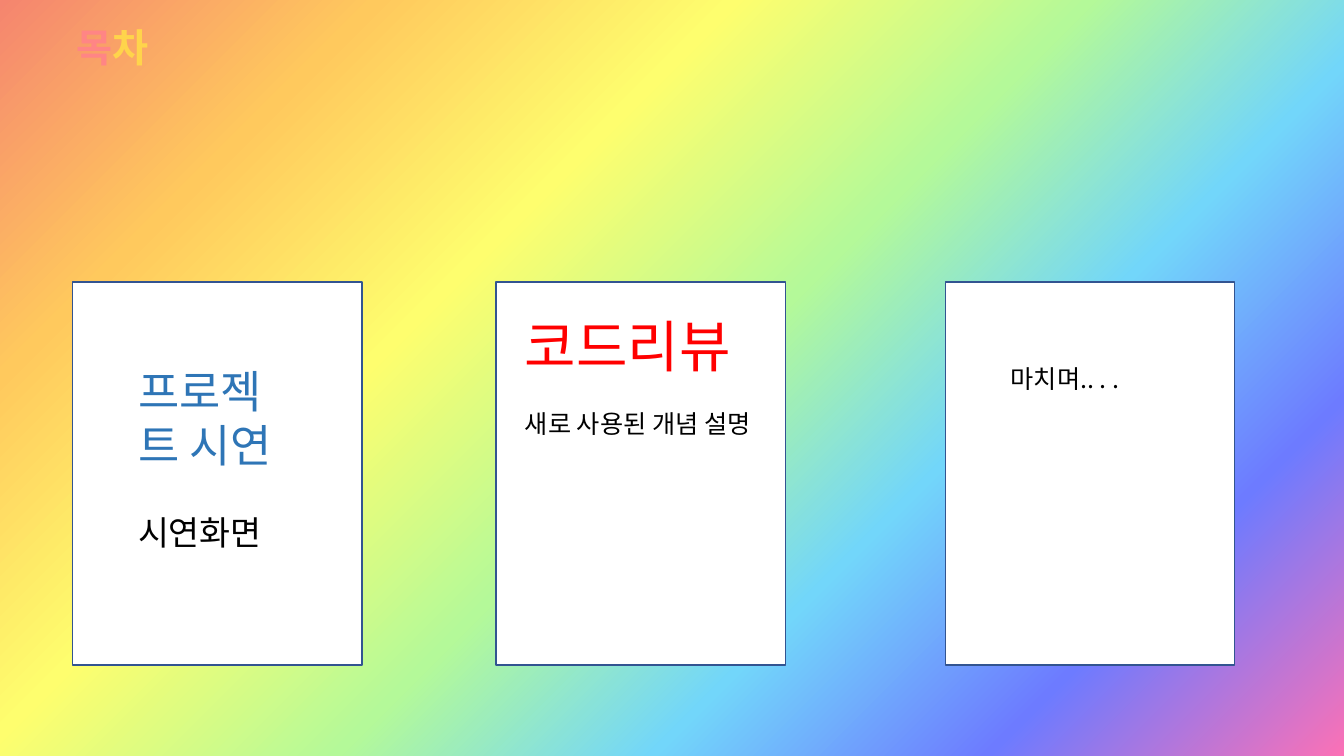
from lxml.etree import SubElement
from pptx import Presentation
from pptx.dml.color import RGBColor
from pptx.enum.shapes import MSO_SHAPE
from pptx.enum.text import MSO_AUTO_SIZE
from pptx.oxml.ns import qn
from pptx.util import Cm, Pt

# Content
FONT = "Noto Sans CJK KR"
RAINBOW = [(0, "F5856F"), (18, "FFC95D"), (35, "FEFE6E"), (52, "B4F999"),
           (67, "72D6FA"), (83, "6D7BFF"), (100, "FB71B6")]

# Each paragraph: space before in points, then runs of (text, size, colour, bold)
TITLE = {
    "box": (1.68, 0.46, 19.05, 1.45),
    "paragraphs": [(0, [("목", 28, "FF8585", True), ("차", 28, "FFD44B", True)])],
}
CARD_TOP, CARD_WIDTH, CARD_HEIGHT = 7.11, 7.29, 9.65
CARDS = [
    {"left": 1.83, "box": (3.23, 9.04, 4.32, 5.82),
     "paragraphs": [(0, [("프로젝트 시연", 32, "2E75B6", False)]),
                    (29, [("시연화면", 24, "000000", False)])]},
    {"left": 12.5, "box": (12.98, 7.72, 6.25, 5.05),
     "paragraphs": [(0, [("코드리뷰", 40, "FF0000", False)]),
                    (21.5, [("새로 사용된 개념 설명", 18, "000000", False)])]},
    {"left": 23.83, "box": (25.22, 9.04, 4.5, 1.02),
     "paragraphs": [(0, [("마치며.. . .", 18, "000000", False)])]},
]


def colour(value):
    return RGBColor.from_string(value)


def paint_background(slide):
    fill = slide.background.fill
    fill.gradient()
    gradient = slide.background._cSld.find(".//" + qn("a:gradFill"))
    stops = gradient.find(qn("a:gsLst"))
    for stop in list(stops):
        stops.remove(stop)
    for position, value in RAINBOW:
        stop = SubElement(stops, qn("a:gs"), pos=str(position * 1000))
        SubElement(stop, qn("a:srgbClr"), val=value)
    gradient.find(qn("a:lin")).set("ang", str(45 * 60000))


def add_card(slide, left):
    card = slide.shapes.add_shape(MSO_SHAPE.RECTANGLE, Cm(left), Cm(CARD_TOP),
                                  Cm(CARD_WIDTH), Cm(CARD_HEIGHT))
    card.shadow.inherit = False
    card.fill.solid()
    card.fill.fore_color.rgb = colour("FFFFFF")
    card.line.color.rgb = colour("325491")
    card.line.width = Pt(1)


def add_text(slide, box, paragraphs):
    frame = slide.shapes.add_textbox(*map(Cm, box)).text_frame
    frame.word_wrap = True
    frame.auto_size = MSO_AUTO_SIZE.SHAPE_TO_FIT_TEXT
    for index, (space, runs) in enumerate(paragraphs):
        paragraph = frame.add_paragraph() if index else frame.paragraphs[0]
        if space:
            paragraph.space_before = Pt(space)
        for text, size, value, bold in runs:
            run = paragraph.add_run()
            run.text = text
            run.font.color.rgb = colour(value)
            formats = {"name": FONT, "size": Pt(size), "bold": bold}
            for attribute, setting in formats.items():
                setattr(run.font, attribute, setting)
            # Korean letters take the East Asian typeface
            SubElement(run._r.get_or_add_rPr(), qn("a:ea"), typeface=FONT)


def main():
    presentation = Presentation()
    presentation.slide_width, presentation.slide_height = Cm(33.87), Cm(19.05)
    slide = presentation.slides.add_slide(presentation.slide_layouts[6])

    # Background and title
    paint_background(slide)
    add_text(slide, **TITLE)

    # Cards, then their texts
    for card in CARDS:
        add_card(slide, card["left"])
    for card in CARDS:
        add_text(slide, card["box"], card["paragraphs"])

    presentation.save("out.pptx")


if __name__ == "__main__":
    main()
